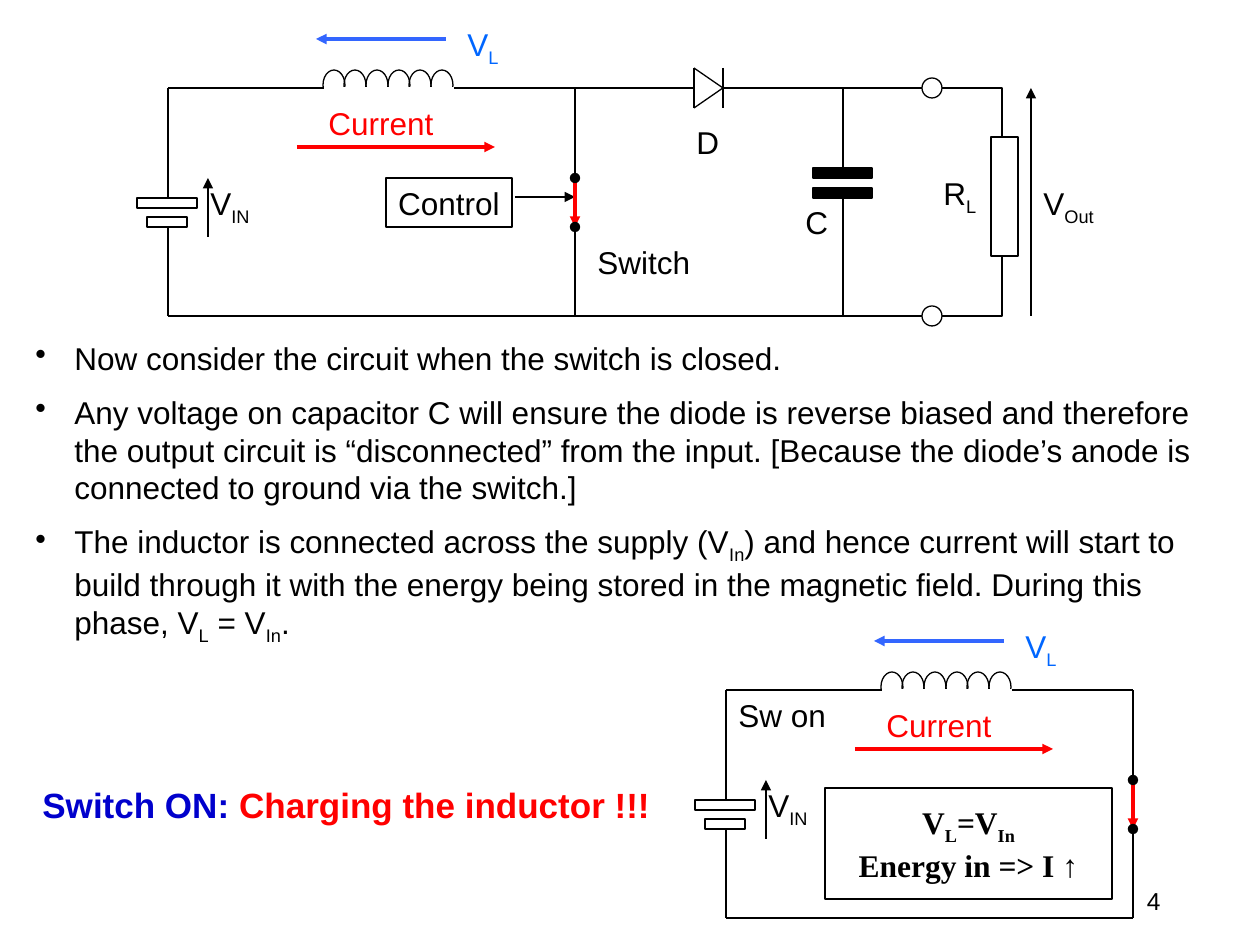
"""Builds a slide on a boost converter whose switch is closed."""
from lxml import etree
from pptx import Presentation
from pptx.dml.color import RGBColor
from pptx.enum.shapes import MSO_CONNECTOR, MSO_SHAPE
from pptx.enum.text import MSO_ANCHOR, PP_ALIGN
from pptx.oxml.ns import qn
from pptx.util import Pt

PX = 7257
RECT, OVAL = MSO_SHAPE.RECTANGLE, MSO_SHAPE.OVAL
LEFT, MID, RIGHT = PP_ALIGN.LEFT, PP_ALIGN.CENTER, PP_ALIGN.RIGHT
BLACK, WHITE, RED = "000000", "FFFFFF", "FF0000"
BLUE, SKY, NAVY = "3366FF", "0066FF", "0000CC"


def paint(color, code):
    color.rgb = RGBColor.from_string(code)


def write(para, text, code=BLACK, size=18, face="Arial", bold=False, align=LEFT):
    """Every second part between bars is a subscript."""
    para.alignment = align
    for i, part in enumerate(text.split("|")):
        run = para.add_run()
        run.text = part
        run.font.size, run.font.name, run.font.bold = Pt(size), face, bold
        paint(run.font.color, code)
        if i % 2:
            run._r.get_or_add_rPr().set("baseline", "-25000")


deck = Presentation()
deck.slide_width, deck.slide_height = 1260 * PX, 945 * PX
slide = deck.slides.add_slide(deck.slide_layouts[6])
shapes = slide.shapes

pen = shapes.build_freeform(942, 88, scale=PX)
pen.add_line_segments([(1002, 88), (1002, 316), (942, 316)], close=False)
wire = pen.convert_to_shape()
wire.shadow.inherit = False
wire.fill.background()
wire.line.width = Pt(0.75)
paint(wire.line.color, BLACK)

forms = [
    (RECT, 813, 168, 59, 10, 0, BLACK, BLACK),
    (RECT, 813, 188, 59, 10, 0, BLACK, BLACK),
    (OVAL, 922, 306, 20, 20, 0, None, BLACK),
    (OVAL, 922, 78, 20, 20, 0, None, BLACK),
    (RECT, 991, 137, 27, 119, 0, WHITE, BLACK),
]
lines = [
    (694, 88, 495, 88, BLACK, None),
    (694, 68, 694, 108, BLACK, None),
    (694, 108, 723, 88, BLACK, None),
    (694, 68, 723, 88, BLACK, None),
    (723, 68, 723, 108, BLACK, None),
    (843, 316, 843, 197, BLACK, None),
    (843, 88, 843, 168, BLACK, None),
    (723, 88, 922, 88, BLACK, None),
    (168, 316, 922, 316, BLACK, None),
    (515, 197, 575, 197, BLACK, "tail"),
    (1031, 316, 1031, 88, BLACK, "tail"),
    (1133, 690, 1053, 690, BLACK, None),
    (726, 918, 1133, 918, BLACK, None),
]
labels = [
    ("Switch", 585, 237, 118, BLACK),
    ("D", 684, 117, 48, BLACK),
    ("C", 793, 197, 48, BLACK),
    ("R|L", 931, 168, 59, BLACK),
    ("V|Out", 1031, 178, 81, BLACK),
    ("Sw on", 726, 690, 113, BLACK),
]

for dx, dy in [(0, 0), (558, 602)]:
    parts = [
        (RECT, 137, 198, 60, 10, 0, None, BLACK),
        (RECT, 147, 217, 40, 10, 0, None, BLACK),
    ]
    parts += [(OVAL, 319 + i * 65 // 3, 74, 30, 22, 270, None, BLACK) for i in range(6)]
    parts.append((RECT, 386, 10, 25, 180, 270, WHITE, WHITE))
    forms += [(kind, x + dx, y + dy, *rest) for kind, x, y, *rest in parts]
    for x, y, x2, y2, code, end in [
        (168, 197, 168, 88, BLACK, None),
        (168, 316, 168, 227, BLACK, None),
        (208, 237, 208, 178, BLACK, "tail"),
        (168, 88, 287, 88, BLACK, None),
        (324, 88, 287, 88, BLACK, None),
        (454, 88, 498, 88, BLACK, None),
        (575, 178, 575, 227, RED, "tail"),
        (575, 227, 575, 316, BLACK, "head"),
        (575, 178, 575, 88, BLACK, "head"),
        (446, 39, 316, 39, BLUE, "tail"),
        (297, 147, 495, 147, RED, "tail"),
    ]:
        lines.append((x + dx, y + dy, x2 + dx, y2 + dy, code, end))
    for text, x, y, w, code in [
        ("V|IN", 198, 178, 67, BLACK),
        ("V|L", 455, 19, 58, SKY),
        ("Current", 316, 98, 130, RED),
    ]:
        labels.append((text, x + dx, y + dy, w, code))

for kind, x, y, w, h, turn, fill, edge in forms:
    form = shapes.add_shape(kind, x * PX, y * PX, w * PX, h * PX)
    form.shadow.inherit = False
    form.rotation = turn
    if fill:
        form.fill.solid()
        paint(form.fill.fore_color, fill)
    else:
        form.fill.background()
    form.line.width = Pt(0.75)
    paint(form.line.color, edge)

for x, y, x2, y2, code, end in lines:
    line = shapes.add_connector(MSO_CONNECTOR.STRAIGHT, x * PX, y * PX, x2 * PX, y2 * PX)
    line.line.width = Pt(0.75 if code == BLACK else 2)
    paint(line.line.color, code)
    if end:
        tip = etree.SubElement(line.line._get_or_add_ln(), qn(f"a:{end}End"))
        tip.set("type", "triangle" if end == "tail" else "oval")
    etree.SubElement(line._element.spPr, qn("a:effectLst"))

for text, x, y, w, code in labels:
    frame = shapes.add_textbox(x * PX, y * PX, w * PX, 50 * PX).text_frame
    frame.word_wrap = False
    write(frame.paragraphs[0], text, code)

for rows, x, y, w, h, face, bold in [
    (["Control"], 386, 178, 126, 49, "Arial", False),
    (["V|L|=V|In", "Energy in => I ↑"], 825, 788, 287, 111, "Times New Roman", True),
]:
    box = shapes.add_shape(RECT, x * PX, y * PX, w * PX, h * PX)
    box.shadow.inherit = False
    box.fill.background()
    box.line.width = Pt(0.75)
    paint(box.line.color, BLACK)
    frame = box.text_frame
    frame.word_wrap, frame.vertical_anchor = False, MSO_ANCHOR.MIDDLE
    for i, row in enumerate(rows):
        para = frame.add_paragraph() if i else frame.paragraphs[0]
        write(para, row, face=face, bold=bold, align=MID)

notes = [
    "Now consider the circuit when the switch is closed.",
    "Any voltage on capacitor C will ensure the diode is reverse biased and therefore "
    "the output circuit is “disconnected” from the input. [Because the diode’s anode is "
    "connected to ground via the switch.]",
    "The inductor is connected across the supply (V|In|) and hence current will start to "
    "build through it with the energy being stored in the magnetic field. During this "
    "phase, V|L| = V|In|.",
]
frame = shapes.add_textbox(23 * PX, 333 * PX, 1211 * PX, 318 * PX).text_frame
frame.word_wrap = True
for i, note in enumerate(notes):
    para = frame.add_paragraph() if i else frame.paragraphs[0]
    props = para._p.get_or_add_pPr()
    props.set("marL", str(39 * PX))
    props.set("indent", str(-39 * PX))
    etree.SubElement(props, qn("a:buChar")).set("char", "•")
    para.space_before = Pt(9 if i else 0)
    write(para, note)

frame = shapes.add_textbox(30 * PX, 777 * PX, 633 * PX, 55 * PX).text_frame
frame.word_wrap = True
for text, code in [("Switch ON: ", NAVY), ("Charging the inductor !!!", RED)]:
    write(frame.paragraphs[0], text, code, size=20, bold=True)

frame = shapes.add_textbox(890 * PX, 876 * PX, 283 * PX, 50 * PX).text_frame
frame.word_wrap, frame.vertical_anchor = True, MSO_ANCHOR.MIDDLE
write(frame.paragraphs[0], "4", size=14, align=RIGHT)

deck.save("out.pptx")
